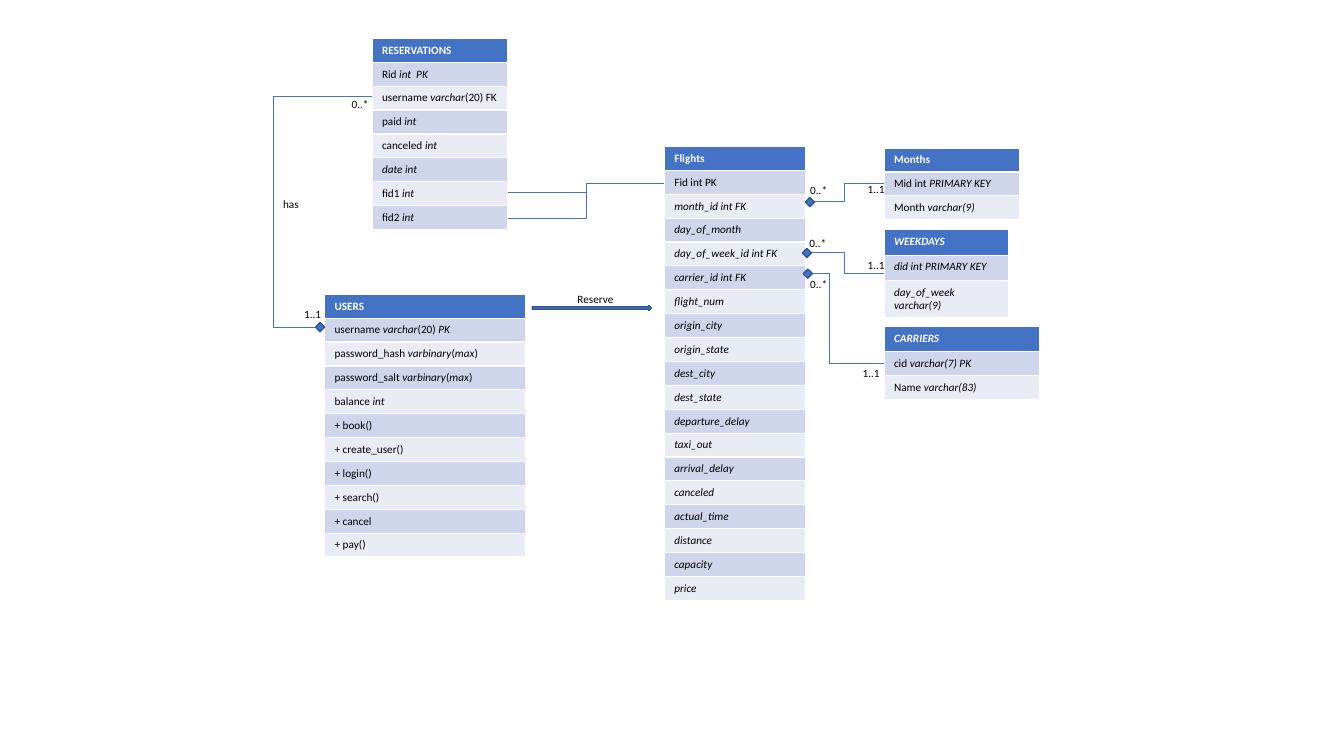
from dataclasses import dataclass
from itertools import pairwise

from lxml.etree import SubElement
from pptx import Presentation
from pptx.dml.color import RGBColor
from pptx.enum.shapes import MSO_CONNECTOR as Connector, MSO_SHAPE as Preset
from pptx.oxml.ns import qn
from pptx.util import Pt

BLUE = RGBColor(0x44, 0x72, 0xC4)
DARK_BLUE = RGBColor(0x32, 0x54, 0x91)
ODD_ROW = RGBColor(0xCF, 0xD5, 0xEA)
EVEN_ROW = RGBColor(0xE9, 0xEB, 0xF5)
WHITE = RGBColor(0xFF, 0xFF, 0xFF)
BLACK = RGBColor(0, 0, 0)

ROW_HEIGHT = 17
DIAMOND_SIZE = 6.5
LABEL_WIDTH, LABEL_HEIGHT = 52, 17
RIGHT_COLUMN = 631.4

Point = tuple[float, float]


@dataclass(frozen=True)
class Entity:
    left: float
    top: float
    width: float
    rows: list[str]
    heights: tuple[float, ...] = ()


@dataclass(frozen=True)
class Link:
    kind: Connector
    points: list[Point]


@dataclass(frozen=True)
class Label:
    text: str
    left: float
    top: float


FLIGHT_FIELDS = (
    "month_id int FK", "day_of_month", "day_of_week_id int FK", "carrier_id int FK",
    "flight_num", "origin_city", "origin_state", "dest_city", "dest_state",
    "departure_delay", "taxi_out", "arrival_delay", "canceled", "actual_time",
    "distance", "capacity", "price",
)

ENTITIES = [
    Entity(RIGHT_COLUMN, 233.3, 110.9,
           ["*CARRIERS*", "cid *varchar(7) PK*", "Name *varchar(83)*"], (18, 17, 17)),
    Entity(474.5, 104.6, 100.8,
           ["Flights", "Fid int PK", *(f"*{field}*" for field in FLIGHT_FIELDS)]),
    Entity(RIGHT_COLUMN, 105.8, 97.2,
           ["Months", "Mid int *PRIMARY KEY*", "Month *varchar(9)*"]),
    Entity(RIGHT_COLUMN, 164.2, 89.3,
           ["*WEEKDAYS*", "*did int PRIMARY KEY*", "*day_of_week varchar(9)*"],
           (18, 18, 27)),
    Entity(231.8, 210.2, 143.3,
           ["USERS", "username *varchar*(20) *PK*",
            "password_hash *varbinary*(*max*)", "password_salt *varbinary*(*max*)",
            "balance *int*", "+ book()", "+ create_user()", "+ login()",
            "+ search()", "+ cancel", "+ pay()"]),
    Entity(265.7, 27.4, 97.2,
           ["RESERVATIONS", "Rid *int  PK*", "username *varchar*(20) FK", "paid *int*",
            "canceled *int*", "*date int*", "fid1 *int*", "fid2 *int*"]),
]

LINKS = [
    Link(Connector.ELBOW, [(474.5, 131), (363, 137.5)]),
    Link(Connector.ELBOW, [(474.5, 131), (363, 156)]),
    Link(Connector.ELBOW, [(575.3, 144), (RIGHT_COLUMN, 131)]),
    Link(Connector.ELBOW, [(575.3, 180), (RIGHT_COLUMN, 195)]),
    Link(Connector.STRAIGHT,
         [(575.3, 195), (592.4, 195), (592.4, 259.7), (RIGHT_COLUMN, 259.7)]),
    Link(Connector.STRAIGHT,
         [(265.7, 69), (195, 69), (195, 233.5), (231.8, 233.5)]),
]

DIAMONDS = [(575.3, 141.1), (573.1, 177.5), (573.8, 192.2), (225.4, 230.4)]

LABELS = [
    Label("Reserve", 405.4, 205.2),
    Label("1..1", 210.2, 216),
    Label("0..*", 244.1, 66.2),
    Label("has", 195.1, 137.5),
    Label("0..*", 571.7, 127.4),
    Label("1..1", 612.7, 126.7),
    Label("0..*", 571, 165.6),
    Label("1..1", 612.7, 180.7),
    Label("0..*", 571.7, 194.4),
    Label("1..1", 609.1, 257.8),
]


def add_run(paragraph, text: str, *, color: RGBColor = BLACK,
            bold: bool = False, italic: bool = False) -> None:
    run = paragraph.add_run()
    run.text = text
    font = run.font
    font.name, font.size = "Calibri", Pt(8)
    font.bold, font.italic = bold, italic
    font.color.rgb = color


def draw_entity(slide, entity: Entity) -> None:
    heights = entity.heights or (ROW_HEIGHT,) * len(entity.rows)
    table = slide.shapes.add_table(
        len(entity.rows), 1, Pt(entity.left), Pt(entity.top),
        Pt(entity.width), Pt(sum(heights))).table
    for index, (markup, height) in enumerate(zip(entity.rows, heights)):
        table.rows[index].height = Pt(height)
        header = index == 0
        cell = table.cell(index, 0)
        cell.fill.solid()
        cell.fill.fore_color.rgb = BLUE if header else ODD_ROW if index % 2 else EVEN_ROW
        paragraph = cell.text_frame.paragraphs[0]
        for position, piece in enumerate(markup.split("*")):
            if piece:
                add_run(paragraph, piece, color=WHITE if header else BLACK,
                        bold=header, italic=position % 2 == 1)


def draw_link(slide, link: Link) -> None:
    for start, end in pairwise(link.points):
        connector = slide.shapes.add_connector(link.kind, *map(Pt, start + end))
        connector.line.color.rgb = BLUE
        connector.line.width = Pt(0.5)
        SubElement(connector.element.spPr, qn("a:effectLst"))


def draw_shape(slide, preset: Preset, left: float, top: float,
               width: float, height: float) -> None:
    shape = slide.shapes.add_shape(preset, Pt(left), Pt(top), Pt(width), Pt(height))
    shape.shadow.inherit = False
    shape.fill.solid()
    shape.fill.fore_color.rgb = BLUE
    shape.line.color.rgb = DARK_BLUE
    shape.line.width = Pt(1)


def draw_label(slide, label: Label) -> None:
    box = slide.shapes.add_textbox(
        Pt(label.left), Pt(label.top), Pt(LABEL_WIDTH), Pt(LABEL_HEIGHT))
    box.text_frame.word_wrap = True
    add_run(box.text_frame.paragraphs[0], label.text)


presentation = Presentation()
presentation.slide_width, presentation.slide_height = Pt(960), Pt(540)
slide = presentation.slides.add_slide(presentation.slide_layouts[6])

for entity in ENTITIES:
    draw_entity(slide, entity)
for link in LINKS:
    draw_link(slide, link)
draw_shape(slide, Preset.RIGHT_ARROW, 380.2, 218.2, 85, 3.6)
for left, top in DIAMONDS:
    draw_shape(slide, Preset.DIAMOND, left, top, DIAMOND_SIZE, DIAMOND_SIZE)
for label in LABELS:
    draw_label(slide, label)

presentation.save("out.pptx")
